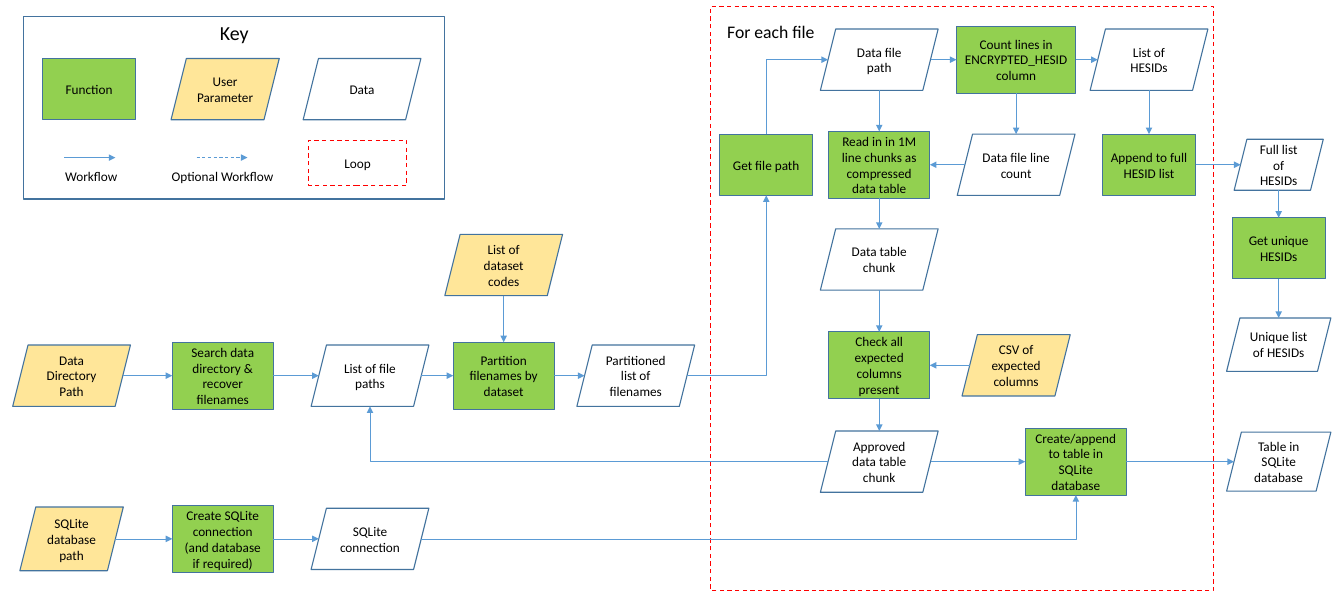
from dataclasses import dataclass

from pptx import Presentation
from pptx.dml.color import RGBColor
from pptx.enum.dml import MSO_LINE
from pptx.enum.shapes import MSO_CONNECTOR, MSO_SHAPE
from pptx.enum.text import MSO_ANCHOR, PP_ALIGN
from pptx.oxml.ns import qn
from pptx.util import Inches, Pt

RECTANGLE, PARALLELOGRAM = MSO_SHAPE.RECTANGLE, MSO_SHAPE.PARALLELOGRAM
STRAIGHT, ELBOW = MSO_CONNECTOR.STRAIGHT, MSO_CONNECTOR.ELBOW
DASH = MSO_LINE.DASH
TOP, MIDDLE = MSO_ANCHOR.TOP, MSO_ANCHOR.MIDDLE
LEFT, CENTER = PP_ALIGN.LEFT, PP_ALIGN.CENTER


@dataclass(frozen=True)
class Theme:
    font: str = "Calibri"
    ink: str = "000000"
    outline: str = "43739E"
    function: str = "92D050"
    parameter: str = "FFE699"
    loop: str = "FF0000"
    arrow: str = "5B9BD5"
    body: int = 12
    loop_title: int = 16
    key_title: int = 18


THEME = Theme()
SLIDE_SIZE = (16.89, 7.5)
SLANT = 0.25

COLUMNS = {
    "input": 0.9, "prepare": 2.8, "paths": 4.65, "partition": 6.33,
    "partitioned": 7.99, "get": 9.63, "chunk": 11.05, "count": 12.77,
    "create": 13.52, "hesid": 14.44, "result": 16.07,
    "key function": 1.12, "key parameter": 2.83, "key data": 4.55,
}
ROWS = {
    "file": 0.75, "read": 2.07, "unique": 3.12, "chunk": 3.26, "codes": 3.33,
    "unique list": 4.33, "check": 4.59, "main": 4.72, "table": 5.8,
    "connection": 6.77, "key shapes": 1.12, "key lines": 1.98,
}
KINDS = {
    "function": (RECTANGLE, THEME.function),
    "parameter": (PARALLELOGRAM, THEME.parameter),
    "data": (PARALLELOGRAM, None),
}
SMALL, LARGE, WIDE = (1.17, 0.77), (1.27, 0.84), (1.5, 0.84)
DATA, PARAMETER = (1.48, 0.77), (1.36, 0.77)

NODES = {
    "key function": ("function", SMALL, "key function", "key shapes", "Function"),
    "key parameter": ("parameter", PARAMETER, "key parameter", "key shapes", "User Parameter"),
    "key data": ("data", DATA, "key data", "key shapes", "Data"),
    "directory": ("parameter", DATA, "input", "main", "Data Directory Path"),
    "search": ("function", LARGE, "prepare", "main", "Search data directory & recover filenames"),
    "paths": ("data", DATA, "paths", "main", "List of file paths"),
    "codes": ("parameter", DATA, "partition", "codes", "List of dataset codes"),
    "partition": ("function", LARGE, "partition", "main", "Partition filenames by dataset"),
    "partitioned": ("data", DATA, "partitioned", "main", "Partitioned list of filenames"),
    "get path": ("function", SMALL, "get", "read", "Get file path"),
    "file path": ("data", DATA, "chunk", "file", "Data file path"),
    "count": ("function", WIDE, "count", "file", "Count lines in ENCRYPTED_HESID column"),
    "hesids": ("data", DATA, "hesid", "file", "List of HESIDs"),
    "read": ("function", LARGE, "chunk", "read", "Read in in 1M line chunks as compressed data table"),
    "line count": ("data", DATA, "count", "read", "Data file line count"),
    "append": ("function", SMALL, "hesid", "read", "Append to full HESID list"),
    "full list": ("data", (1.12, 0.64), "result", "read", "Full list of HESIDs"),
    "unique": ("function", SMALL, "result", "unique", "Get unique HESIDs"),
    "unique list": ("data", (1.31, 0.67), "result", "unique list", "Unique list of HESIDs"),
    "chunk": ("data", DATA, "chunk", "chunk", "Data table chunk"),
    "check": ("function", LARGE, "chunk", "check", "Check all expected columns present"),
    "expected": ("parameter", PARAMETER, "count", "check", "CSV of expected columns"),
    "approved": ("data", DATA, "chunk", "table", "Approved data table chunk"),
    "create": ("function", LARGE, "create", "table", "Create/append to table in SQLite database"),
    "table": ("data", (1.31, 0.74), "result", "table", "Table in SQLite database"),
    "database": ("parameter", (1.3, 0.8), "input", "connection", "SQLite database path"),
    "connect": ("function", LARGE, "prepare", "connection",
                "Create SQLite connection (and database if required)"),
    "connection": ("data", DATA, "paths", "connection", "SQLite connection"),
}
STRAIGHT_CHAINS = [
    ("directory", "search", "paths", "partition", "partitioned"),
    ("codes", "partition"),
    ("file path", "count", "hesids", "append", "full list", "unique", "unique list"),
    ("count", "line count", "read"),
    ("file path", "read", "chunk", "check", "approved", "create", "table"),
    ("expected", "check"),
    ("database", "connect", "connection"),
]
BENT_FLOWS = [
    ("partitioned", "get path", False),
    ("file path", "get path", True),
    ("approved", "paths", False),
    ("connection", "create", False),
]
KEY_ARROWS = [(0.81, None), (2.47, DASH)]
KEY_ARROW_LENGTH = 0.64
KEY_LABELS = [((0.72, 2.07, 1.07, 0.3), "Workflow"),
              ((2.06, 2.07, 1.7, 0.3), "Optional Workflow")]

presentation = Presentation()
presentation.slide_width, presentation.slide_height = map(Inches, SLIDE_SIZE)
slide = presentation.slides.add_slide(presentation.slide_layouts[6])


def write(shape, text, size=THEME.body, align=CENTER, anchor=MIDDLE):
    frame = shape.text_frame
    frame.word_wrap = True
    frame.vertical_anchor = anchor
    paragraph = frame.paragraphs[0]
    paragraph.alignment = align
    run = paragraph.add_run()
    run.text = text
    run.font.name, run.font.size = THEME.font, Pt(size)
    run.font.color.rgb = RGBColor.from_string(THEME.ink)


def add_label(box, text, **text_format):
    label = slide.shapes.add_textbox(*map(Inches, box))
    write(label, text, align=LEFT, anchor=TOP, **text_format)


def add_box(box, text="", outline=THEME.outline, geometry=RECTANGLE, fill=None,
            dash=None, **text_format):
    shape = slide.shapes.add_shape(geometry, *map(Inches, box))
    shape.shadow.inherit = False
    if fill:
        shape.fill.solid()
        shape.fill.fore_color.rgb = RGBColor.from_string(fill)
    else:
        shape.fill.background()
    shape.line.color.rgb = RGBColor.from_string(outline)
    shape.line.width = Pt(1)
    shape.line.dash_style = dash
    if text:
        write(shape, text, **text_format)


def add_arrow(start, end, bent=False, reverse=False, dash=None, width=0.5):
    connector = slide.shapes.add_connector(
        ELBOW if bent else STRAIGHT, *map(Inches, start + end))
    connector.line.color.rgb = RGBColor.from_string(THEME.arrow)
    connector.line.width = Pt(width)
    connector.line.dash_style = dash
    properties = connector._element.spPr
    if bent:
        properties.find(qn("a:prstGeom")).set("prst", "bentConnector2")
    line = properties.find(qn("a:ln"))
    tip = line.makeelement(qn("a:headEnd" if reverse else "a:tailEnd"), {"type": "triangle"})
    line.append(tip)
    properties.append(properties.makeelement(qn("a:effectLst"), {}))


def center(name):
    column, row = NODES[name][2:4]
    return COLUMNS[column], ROWS[row]


def edge_point(name, toward, horizontal):
    kind, (width, height) = NODES[name][:2]
    x, y = center(name)
    target_x, target_y = center(toward)
    if horizontal:
        inset = SLANT * height / 2 if KINDS[kind][0] == PARALLELOGRAM else 0
        reach = width / 2 - inset
        return x + (reach if target_x > x else -reach), y
    return x, y + (height / 2 if target_y > y else -height / 2)


add_box((0.3, 0.21, 5.29, 2.29), "Key", size=THEME.key_title, anchor=TOP)
add_box((8.93, 0.08, 6.32, 7.34), outline=THEME.loop, dash=DASH)
add_box((3.88, 1.76, 1.23, 0.57), "Loop", outline=THEME.loop, dash=DASH)
add_label((9.04, 0.21, 1.43, 0.37), "For each file", size=THEME.loop_title)
for box, text in KEY_LABELS:
    add_label(box, text)
for left, dash in KEY_ARROWS:
    y = ROWS["key lines"]
    add_arrow((left, y), (left + KEY_ARROW_LENGTH, y), dash=dash, width=0.75 if dash else 0.5)

for name, (kind, (width, height), _, _, text) in NODES.items():
    x, y = center(name)
    geometry, fill = KINDS[kind]
    add_box((x - width / 2, y - height / 2, width, height), text, geometry=geometry, fill=fill)

for chain in STRAIGHT_CHAINS:
    for source, target in zip(chain, chain[1:]):
        level = center(source)[1] == center(target)[1]
        add_arrow(edge_point(source, target, level), edge_point(target, source, level))
for level_end, upright_end, reverse in BENT_FLOWS:
    add_arrow(edge_point(level_end, upright_end, True),
              edge_point(upright_end, level_end, False), bent=True, reverse=reverse)

presentation.save("out.pptx")
